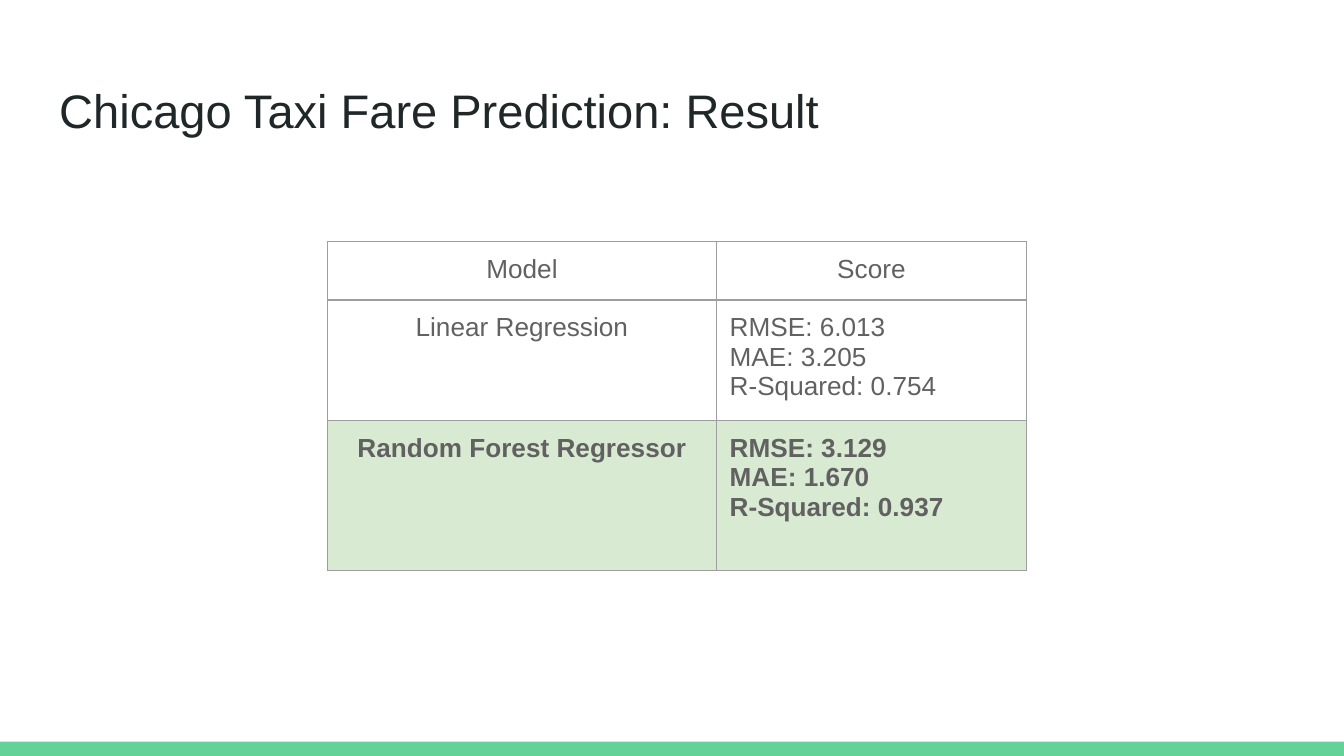
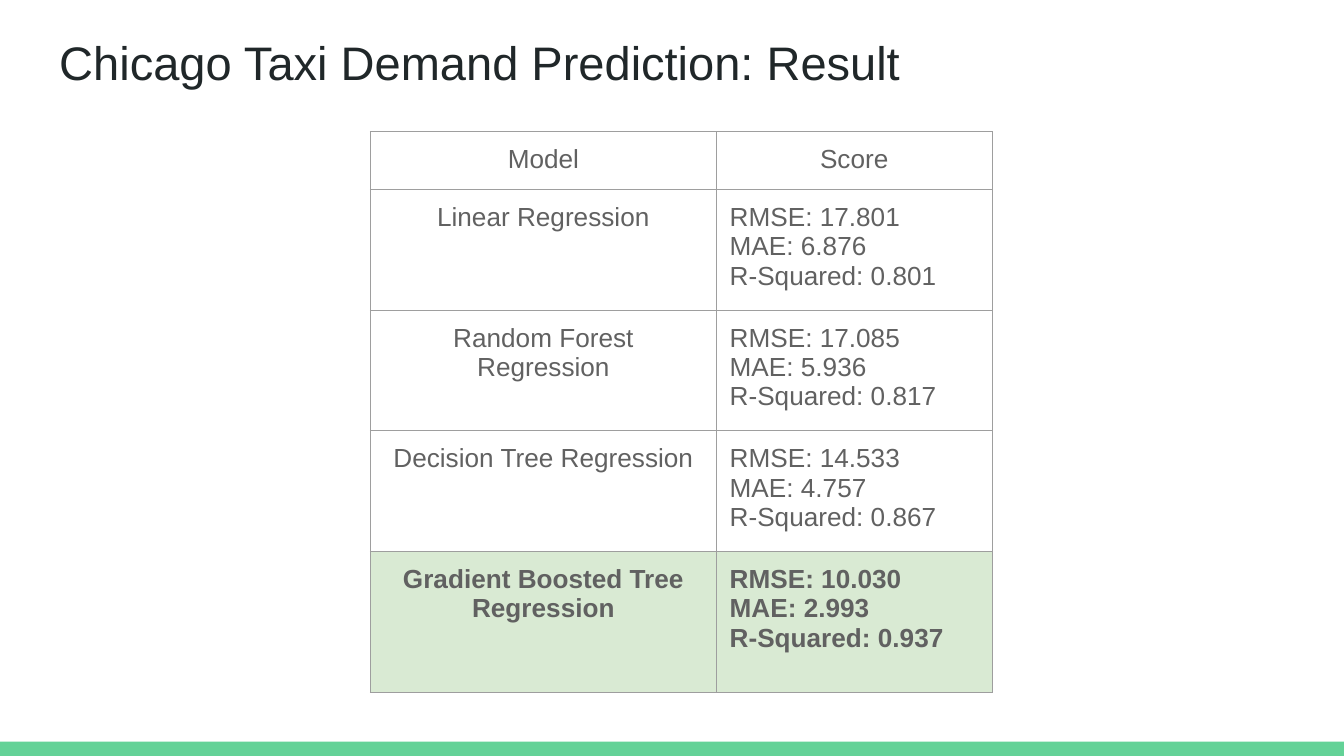
from lxml.etree import SubElement
from pptx import Presentation
from pptx.dml.color import RGBColor
from pptx.enum.shapes import MSO_SHAPE
from pptx.enum.text import MSO_ANCHOR, PP_ALIGN
from pptx.oxml.ns import qn
from pptx.util import Cm, Pt

# Shared style
FONT = "Arial"
TITLE_COLOR = "202729"
BODY_COLOR = "616161"
BAND_COLOR = "63D297"
BORDER_COLOR = "9E9E9E"
BEST_COLOR = "D9EAD3"
INSET = Cm(0.25)
WIDTH, HEIGHT = 25.4, 14.29
BAND_HEIGHT = 0.27


def color(hex_string):
    return RGBColor.from_string(hex_string)


def write_text(frame, lines, size=14, hex_color=BODY_COLOR, bold=False, align=PP_ALIGN.LEFT):
    """Write each line as a paragraph of the text frame."""
    for index, line in enumerate(lines):
        paragraph = frame.paragraphs[0] if index == 0 else frame.add_paragraph()
        paragraph.alignment = align
        run = paragraph.add_run()
        run.text = line
        run.font.name = FONT
        run.font.size = Pt(size)
        run.font.bold = bold
        run.font.color.rgb = color(hex_color)


def set_insets(target):
    target.margin_left = target.margin_right = INSET
    target.margin_top = target.margin_bottom = INSET


def set_borders(cell):
    properties = cell._tc.get_or_add_tcPr()
    for position, side in enumerate(("lnL", "lnR", "lnT", "lnB")):
        line = SubElement(properties, qn(f"a:{side}"), w=str(Pt(0.75)))
        fill = SubElement(line, qn("a:solidFill"))
        SubElement(fill, qn("a:srgbClr"), val=BORDER_COLOR)
        properties.insert(position, line)  # borders come before the fill


class Deck:
    def __init__(self):
        self.presentation = Presentation()
        self.presentation.slide_width = Cm(WIDTH)
        self.presentation.slide_height = Cm(HEIGHT)
        self.slide = None

    def add_slide(self, title, title_top):
        self.slide = self.presentation.slides.add_slide(self.presentation.slide_layouts[6])
        self.slide.background.fill.solid()
        self.slide.background.fill.fore_color.rgb = color("FFFFFF")
        self.add_band()
        self.add_title(title, title_top)

    def add_band(self):
        shape = self.slide.shapes.add_shape(
            MSO_SHAPE.RECTANGLE, 0, Cm(HEIGHT - BAND_HEIGHT), Cm(WIDTH), Cm(BAND_HEIGHT))
        shape.shadow.inherit = False
        shape.fill.solid()
        shape.fill.fore_color.rgb = color(BAND_COLOR)
        shape.line.fill.background()

    def add_title(self, title, top):
        frame = self.slide.shapes.add_textbox(Cm(0.87), Cm(top), Cm(23.67), Cm(1.6)).text_frame
        frame.word_wrap = True
        frame.vertical_anchor = MSO_ANCHOR.BOTTOM
        set_insets(frame)
        write_text(frame, [title], size=25.2, hex_color=TITLE_COLOR)

    def add_score_table(self, left, top, widths, heights, scores):
        """Fill a table of models and scores; the last row is the best model."""
        rows = [("Model", ["Score"])]
        for model, rmse, mae, r_squared in scores:
            rows.append((model, [f"RMSE: {rmse}", f"MAE: {mae}", f"R-Squared: {r_squared}"]))

        table = self.slide.shapes.add_table(
            len(rows), 2, Cm(left), Cm(top), Cm(sum(widths)), Cm(sum(heights))).table
        table.first_row = table.horz_banding = False
        for column, width in zip(table.columns, widths):
            column.width = Cm(width)

        for index, (model, score_lines) in enumerate(rows):
            table.rows[index].height = Cm(heights[index])
            best = index == len(rows) - 1
            score_align = PP_ALIGN.CENTER if index == 0 else PP_ALIGN.LEFT
            contents = (([model], PP_ALIGN.CENTER), (score_lines, score_align))
            for cell, (lines, align) in zip(table.rows[index].cells, contents):
                set_insets(cell)
                if best:
                    cell.fill.solid()
                    cell.fill.fore_color.rgb = color(BEST_COLOR)
                else:
                    cell.fill.background()
                set_borders(cell)
                write_text(cell.text_frame, lines, bold=best, align=align)


def main():
    deck = Deck()

    # Fare prediction
    deck.add_slide("Chicago Taxi Fare Prediction: Result", title_top=1.25)
    deck.add_score_table(6.19, 4.57, (7.35, 5.86), (1.1, 2.28, 2.84), [
        ("Linear Regression", "6.013", "3.205", "0.754"),
        ("Random Forest Regressor", "3.129", "1.670", "0.937"),
    ])

    # Demand prediction
    deck.add_slide("Chicago Taxi Demand Prediction: Result", title_top=0.36)
    deck.add_score_table(7, 2.49, (6.54, 5.21), (1.06, 2.17, 2.17, 2.17, 2.67), [
        ("Linear Regression", "17.801", "6.876", "0.801"),
        ("Random Forest Regression", "17.085", "5.936", "0.817"),
        ("Decision Tree Regression", "14.533", "4.757", "0.867"),
        ("Gradient Boosted Tree Regression", "10.030", "2.993", "0.937"),
    ])

    deck.presentation.save("out.pptx")


if __name__ == "__main__":
    main()
